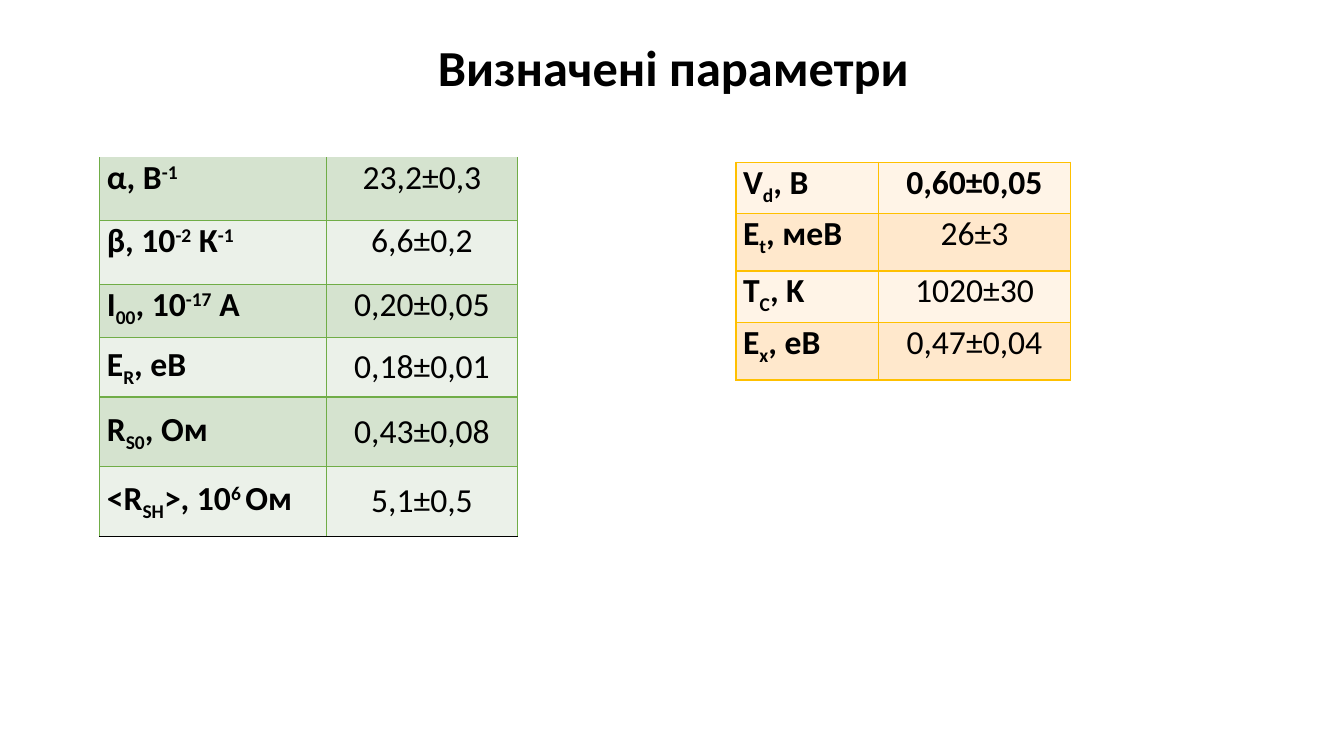
import pptx
import pptx.dml.color
import pptx.enum.text
import pptx.oxml
import pptx.oxml.ns
import pptx.util

Inches = pptx.util.Inches
Pt = pptx.util.Pt
RGBColor = pptx.dml.color.RGBColor
ALIGN = pptx.enum.text.PP_ALIGN
ANCHOR = pptx.enum.text.MSO_ANCHOR

BLACK = RGBColor(0x00, 0x00, 0x00)
WHITE = RGBColor(0xFF, 0xFF, 0xFF)
GREEN = RGBColor(0x70, 0xAD, 0x47)
GREEN_BANDS = (RGBColor(0xD5, 0xE3, 0xCF), RGBColor(0xEB, 0xF1, 0xE9))
AMBER = RGBColor(0xFF, 0xC0, 0x00)
AMBER_BANDS = (RGBColor(0xFF, 0xF4, 0xE7), RGBColor(0xFF, 0xE8, 0xCC))

# A leading ^ marks a superscript span, a leading _ a subscript span.
BASELINES = {"^": "30000", "_": "-25000"}

# Each row: label spans, value, row height in inches
DIODE_ROWS = [
    (("α, В", "^-1"), "23,2±0,3", 0.63),
    (("β, 10", "^-2", " К", "^-1"), "6,6±0,2", 0.63),
    (("І", "_00", ", 10", "^-17", " А"), "0,20±0,05", 0.53),
    (("Е", "_R", ", еВ"), "0,18±0,01", 0.59),
    (("R", "_S0", ", Ом"), "0,43±0,08", 0.69),
    (("<R", "_SH", ">, 10", "^6 ", "Ом"), "5,1±0,5", 0.69),
]
ENERGY_ROWS = [
    (("V", "_d", ", В"), "0,60±0,05", 0.51),
    (("E", "_t", ", мeB"), "26±3", 0.57),
    (("T", "_С", ", K"), "1020±30", 0.51),
    (("E", "_x", ", eB"), "0,47±0,04", 0.57),
]
SPACER_HEIGHT = 0.38


class SlideBuilder:
    font_name = "Calibri"
    title_size = 36
    table_size = 24

    def __init__(self, page):
        self.page = page

    def spans(self, para, texts, size, bold):
        for text in texts:
            baseline = BASELINES.get(text[0])
            span = para.add_run()
            span.text = text[1:] if baseline else text
            span.font.name = self.font_name
            span.font.size = Pt(size)
            span.font.bold = bold
            span.font.color.rgb = BLACK
            if baseline:
                span._r.get_or_add_rPr().set("baseline", baseline)

    def title(self, text, left, top, width, height):
        box = self.page.shapes.add_textbox(
            Inches(left), Inches(top), Inches(width), Inches(height))
        box.text_frame.word_wrap = True
        box.text_frame.vertical_anchor = ANCHOR.MIDDLE
        para = box.text_frame.paragraphs[0]
        para.alignment = ALIGN.CENTER
        para.line_spacing = 0.9
        self.spans(para, [text], self.title_size, True)

    def table(self, left, top, widths, heights):
        frame = self.page.shapes.add_table(
            len(heights), len(widths), Inches(left), Inches(top),
            Inches(sum(widths)), Inches(sum(heights)))
        table = frame.table
        table.first_row = False
        table.horz_banding = False
        for column, width in zip(table.columns, widths):
            column.width = Inches(width)
        for row, height in zip(table.rows, heights):
            row.height = Inches(height)
        return table

    def cell_style(self, cell, fill, borders):
        """Set margins, fill and edges; an edge missing from borders has no line."""
        cell.margin_left = cell.margin_right = Inches(0.07)
        cell.margin_top = cell.margin_bottom = 0
        properties = cell._tc.get_or_add_tcPr()
        for edge in "LRTB":
            color = borders.get(edge)
            paint = (f'<a:solidFill><a:srgbClr val="{color}"/></a:solidFill>'
                     if color else "<a:noFill/>")
            properties.append(pptx.oxml.parse_xml(
                f'<a:ln{edge} {pptx.oxml.ns.nsdecls("a")} w="{Pt(1)}">{paint}</a:ln{edge}>'))
        cell.fill.solid()
        cell.fill.fore_color.rgb = fill

    def parameter_row(self, cells, label, value, label_align, bold_value, anchor):
        contents = ((label, label_align, True), ([value], ALIGN.CENTER, bold_value))
        for cell, (texts, align, bold) in zip(cells, contents):
            cell.vertical_anchor = anchor
            para = cell.text_frame.paragraphs[0]
            para.alignment = align
            self.spans(para, texts, self.table_size, bold)

    def diode_table(self):
        heights = [SPACER_HEIGHT] + [row[2] for row in DIODE_ROWS]
        table = self.table(0.99, 1.18, (2.25, 1.89), heights)
        for cell in table.rows[0].cells:
            self.cell_style(cell, WHITE, {})
        table.cell(0, 0).merge(table.cell(0, 1))
        last = len(DIODE_ROWS) - 1
        for index, (label, value, _) in enumerate(DIODE_ROWS):
            borders = dict.fromkeys("LRTB", GREEN)
            if index == 0:
                del borders["T"]
            if index == last:
                borders["B"] = BLACK
            cells = table.rows[index + 1].cells
            for cell in cells:
                self.cell_style(cell, GREEN_BANDS[index % 2], borders)
            anchor = ANCHOR.TOP if index < 3 else ANCHOR.MIDDLE
            self.parameter_row(cells, label, value, ALIGN.LEFT, False, anchor)

    def energy_table(self):
        table = self.table(7.3, 1.61, (1.41, 1.91), [row[2] for row in ENERGY_ROWS])
        for index, (label, value, _) in enumerate(ENERGY_ROWS):
            cells = table.rows[index].cells
            for cell in cells:
                self.cell_style(cell, AMBER_BANDS[index % 2], dict.fromkeys("LRTB", AMBER))
            self.parameter_row(cells, label, value, ALIGN.JUSTIFY, index == 0, ANCHOR.TOP)


def main():
    deck = pptx.Presentation()
    deck.slide_width = Inches(13.33)
    deck.slide_height = Inches(7.5)
    builder = SlideBuilder(deck.slides.add_slide(deck.slide_layouts[6]))
    builder.title("Визначені параметри", 0.93, 0.31, 11.5, 0.78)
    builder.diode_table()
    builder.energy_table()
    deck.save("out.pptx")


if __name__ == "__main__":
    main()
